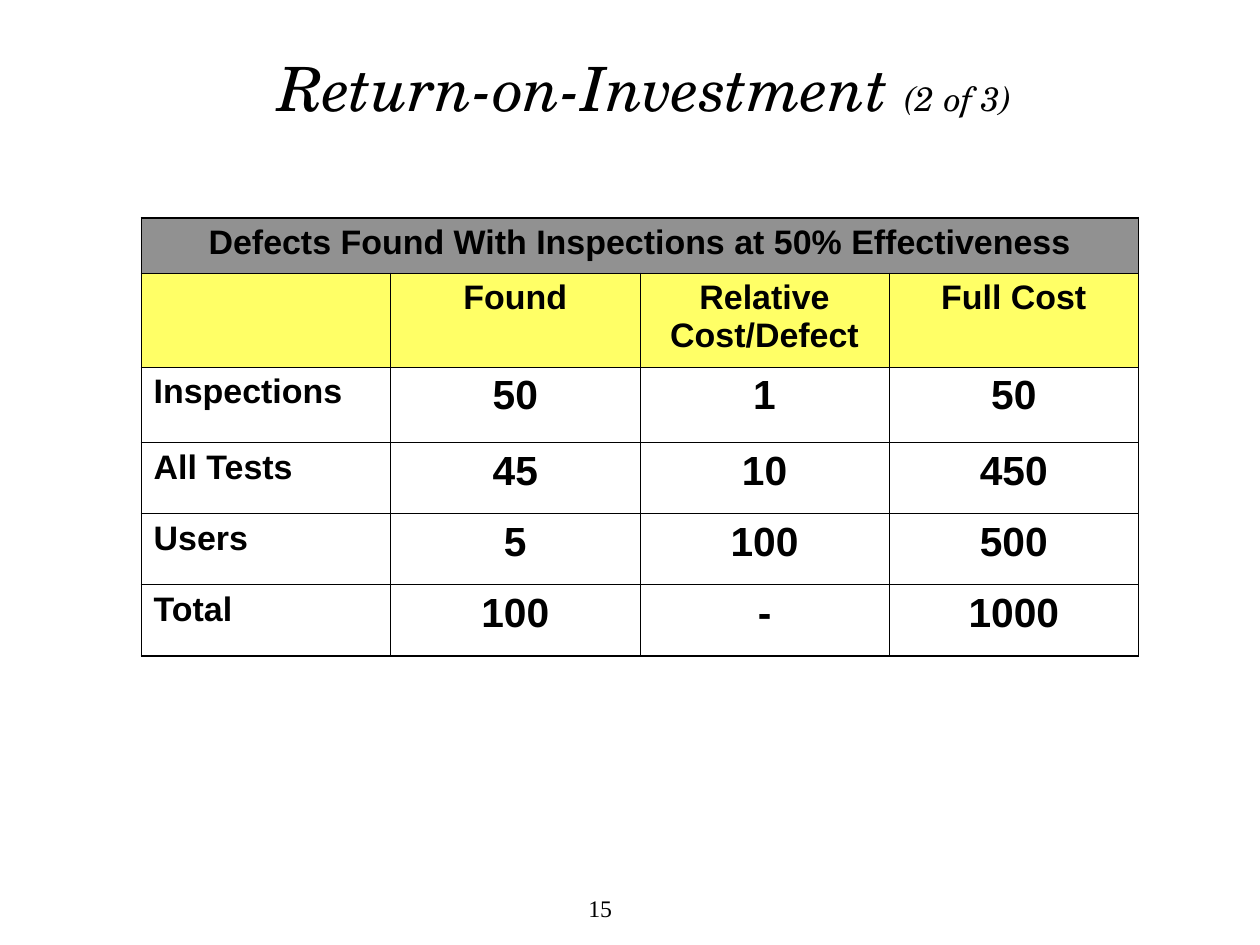
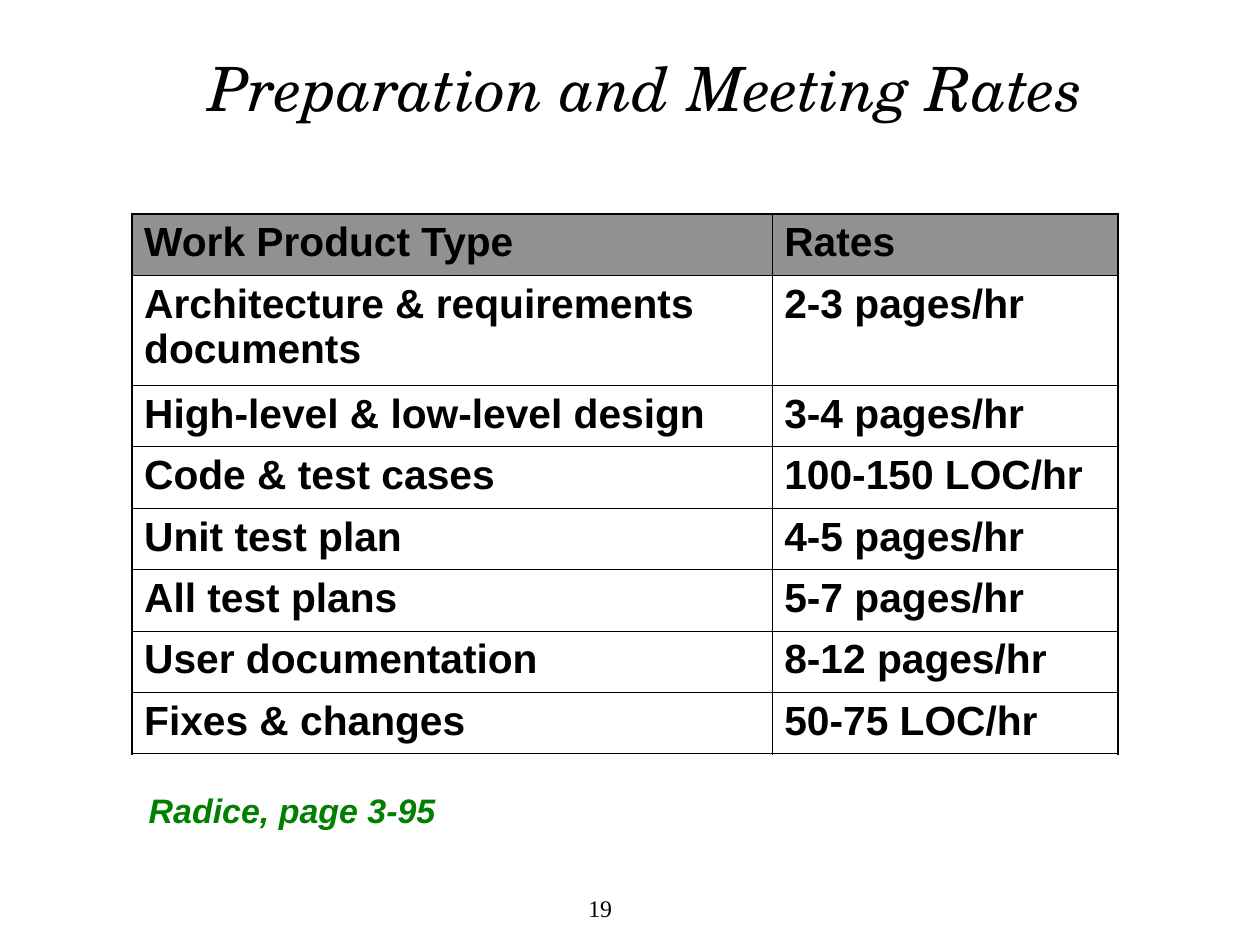
from pptx import Presentation
from pptx.dml.color import RGBColor
from pptx.enum.text import MSO_ANCHOR, MSO_AUTO_SIZE, PP_ALIGN
from pptx.oxml.ns import qn
from pptx.util import Pt
from lxml import etree

CENTER, LEFT = PP_ALIGN.CENTER, PP_ALIGN.LEFT
MIDDLE, TOP = MSO_ANCHOR.MIDDLE, MSO_ANCHOR.TOP
NO_AUTOFIT = MSO_AUTO_SIZE.NONE

COLORS = {
    "ink": "000000",
    "band": "919191",
    "heading": "FFFF66",
    "credit": "008000",
}
TITLE_FONT, BODY_FONT, NUMBER_FONT = "TeX Gyre Schola", "Arial", "Times New Roman"
TITLE_ONLY = 5
OUTER_LINE, INNER_LINE = 1.08, 0.45

DEFECT_HEADER = "Defects Found With Inspections at 50% Effectiveness"
DEFECT_ROWS = [
    [DEFECT_HEADER, "", "", ""],
    ["", "Found", "Relative Cost/Defect", "Full Cost"],
    ["Inspections", "50", "1", "50"],
    ["All Tests", "45", "10", "450"],
    ["Users", "5", "100", "500"],
    ["Total", "100", "-", "1000"],
]
RATE_ROWS = [
    ["Work Product Type", "Rates"],
    ["Architecture & requirements documents", "2-3 pages/hr"],
    ["High-level & low-level design", "3-4 pages/hr"],
    ["Code & test cases", "100-150 LOC/hr"],
    ["Unit test plan", "4-5 pages/hr"],
    ["All test plans", "5-7 pages/hr"],
    ["User documentation", "8-12 pages/hr"],
    ["Fixes & changes", "50-75 LOC/hr"],
]


def add_run(paragraph, text, size, font, color="ink", bold=False, italic=False):
    run = paragraph.add_run()
    run.text = text
    run.font.size = Pt(size)
    run.font.name = font
    run.font.bold = bold
    run.font.italic = italic
    run.font.color.rgb = RGBColor.from_string(COLORS[color])


def add_label(slide, box, text, align, anchor, **style):
    frame = slide.shapes.add_textbox(*map(Pt, box)).text_frame
    frame.word_wrap = True
    frame.vertical_anchor = anchor
    paragraph = frame.paragraphs[0]
    paragraph.alignment = align
    add_run(paragraph, text, **style)


def add_page(deck, number, title_parts):
    slide = deck.slides.add_slide(deck.slide_layouts[TITLE_ONLY])
    title = slide.shapes.title
    title.left, title.top = Pt(89.3), Pt(26.6)
    title.width, title.height = Pt(582.5), Pt(55.4)
    frame = title.text_frame
    frame.word_wrap = True
    frame.auto_size = NO_AUTOFIT
    frame.vertical_anchor = MIDDLE
    paragraph = frame.paragraphs[0]
    paragraph.alignment = CENTER
    paragraph.line_spacing = 0.9
    for text, size in title_parts:
        add_run(paragraph, text, size, TITLE_FONT, italic=True)
    add_label(slide, (275.8, 514.8, 156.2, 41.8), number, CENTER, MIDDLE,
              size=14, font=NUMBER_FONT)
    return slide


def set_borders(cell, widths):
    properties = cell._tc.get_or_add_tcPr()
    for side, width in widths.items():
        line = etree.SubElement(properties, qn(f"a:ln{side}"), w=str(int(Pt(width))))
        fill = etree.SubElement(line, qn("a:solidFill"))
        etree.SubElement(fill, qn("a:srgbClr"), val=COLORS["ink"])


def add_grid(slide, left, top, widths, heights, rows, style_cell):
    frame = slide.shapes.add_table(len(rows), len(widths), Pt(left), Pt(top),
                                   Pt(sum(widths)), Pt(sum(heights)))
    table = frame.table
    for column, width in zip(table.columns, widths):
        column.width = Pt(width)
    for row, height in zip(table.rows, heights):
        row.height = Pt(height)
    last_row, last_column = len(rows) - 1, len(widths) - 1
    for r, texts in enumerate(rows):
        for c, text in enumerate(texts):
            cell = table.cell(r, c)
            edges = {"L": c == 0, "R": c == last_column,
                     "T": r == 0, "B": r == last_row}
            set_borders(cell, {side: OUTER_LINE if outer else INNER_LINE
                               for side, outer in edges.items()})
            fill, size, align = style_cell(r, c)
            if fill:
                cell.fill.solid()
                cell.fill.fore_color.rgb = RGBColor.from_string(COLORS[fill])
            else:
                cell.fill.background()
            paragraph = cell.text_frame.paragraphs[0]
            paragraph.alignment = align
            if text:
                add_run(paragraph, text, size, BODY_FONT, bold=True)
    return table


def style_defects(row, column):
    if row < 2:
        return ("band", "heading")[row], 20, CENTER
    return (None, 24, CENTER) if column else (None, 20, LEFT)


def style_rates(row, column):
    return None if row else "band", 24, LEFT


def build_return(deck):
    slide = add_page(deck, "15", [("Return-on-Investment ", 36), ("(2 of 3)", 20)])
    table = add_grid(slide, 83.4, 128.4, [147] * 4, [32.6, 55.4, 44.4] + [42] * 3,
                     DEFECT_ROWS, style_defects)
    table.cell(0, 0).merge(table.cell(0, 3))


def build_rates(deck):
    slide = add_page(deck, "19", [("Preparation and Meeting Rates", 36)])
    add_grid(slide, 77.8, 126.2, [377.5, 204], [36.2, 64.9] + [36.2] * 6,
             RATE_ROWS, style_rates)
    add_label(slide, (80.6, 462.2, 190, 31.7), "Radice, page 3-95", LEFT, TOP,
              size=20, font=BODY_FONT, color="credit", bold=True, italic=True)


def main():
    deck = Presentation()
    deck.slide_width, deck.slide_height = Pt(743), Pt(557.3)
    build_return(deck)
    build_rates(deck)
    deck.save("out.pptx")


if __name__ == "__main__":
    main()
